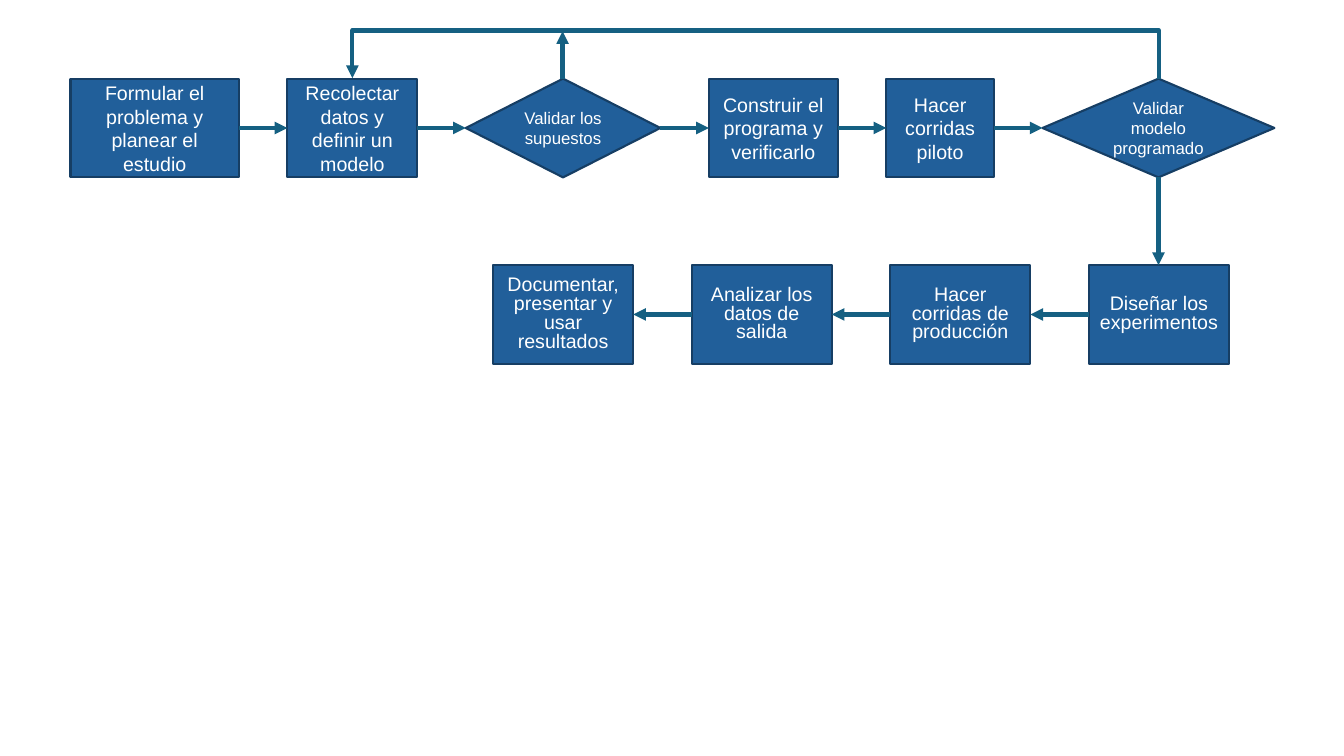
from dataclasses import dataclass

from lxml import etree
from pptx import Presentation
from pptx import util as u
from pptx.dml import color
from pptx.enum import shapes, text
from pptx.oxml import ns

PX = 9144
FILL, BORDER, ARROW, WHITE = "215F9A", "163E64", "156082", "FFFFFF"
TOP_ROW, BOTTOM_ROW, HEIGHT = 78, 263, 98
TOP_GAP, BOTTOM_WIDTH, BOTTOM_PITCH = 48, 139, 197
RETURN_Y, RETURN_ARROW_Y = 29, 31


@dataclass
class Step:
    """One box of the flow chart, in px."""
    label: str
    left: int
    top: int
    width: int
    decision: bool = False

    @property
    def right(self) -> int:
        return self.left + self.width

    @property
    def center(self) -> int:
        return self.left + self.width // 2

    @property
    def middle(self) -> int:
        return self.top + HEIGHT // 2


STUDY = [
    ("Formular el problema y planear el estudio", 167, False),
    ("Recolectar datos y definir un modelo", 129, False),
    ("Validar los supuestos", 193, True),
    ("Construir el programa y verificarlo", 128, False),
    ("Hacer corridas piloto", 107, False),
    ("Validar modelo programado", 230, True),
]
EXPERIMENTS = [
    "Diseñar los experimentos",
    "Hacer corridas de producción",
    "Analizar los datos de salida",
    "Documentar, presentar y usar resultados",
]


def px(length: int) -> u.Emu:
    """Turn px into EMU."""
    return u.Emu(length * PX)


def rgb(value: str) -> color.RGBColor:
    """Turn a hex string into a colour."""
    return color.RGBColor.from_string(value)


def write(shape, label: str, *, size: int, spacing: float | None = None) -> None:
    """Write centred white text into a shape."""
    frame = shape.text_frame
    frame.word_wrap = True
    frame.vertical_anchor = text.MSO_ANCHOR.MIDDLE
    para = frame.paragraphs[0]
    para.alignment = text.PP_ALIGN.CENTER
    if spacing:
        para.line_spacing = u.Pt(spacing)
    span = para.add_run()
    span.text = label
    span.font.name = "Arial"
    span.font.size = u.Pt(size)
    span.font.color.rgb = rgb(WHITE)


def draw_step(page, step: Step, *, spacing: float | None = None) -> None:
    """Draw a process box or a decision diamond."""
    kind = shapes.MSO_SHAPE.DIAMOND if step.decision else shapes.MSO_SHAPE.RECTANGLE
    box = page.shapes.add_shape(kind, px(step.left), px(step.top), px(step.width), px(HEIGHT))
    box.shadow.inherit = False
    box.fill.solid()
    box.fill.fore_color.rgb = rgb(FILL)
    box.line.color.rgb = rgb(BORDER)
    box.line.width = u.Pt(1.5)
    write(box, step.label, size=12 if step.decision else 14, spacing=spacing)


def draw_arrow(page, start: tuple[int, int], end: tuple[int, int],
               kind=shapes.MSO_CONNECTOR.STRAIGHT):
    """Draw a connector with a triangle at its end."""
    arrow = page.shapes.add_connector(kind, *map(px, start + end))
    arrow.line.color.rgb = rgb(ARROW)
    arrow.line.width = u.Pt(3)
    properties = arrow._element.spPr
    etree.SubElement(properties.find(ns.qn("a:ln")), ns.qn("a:tailEnd"), type="triangle")
    etree.SubElement(properties, ns.qn("a:effectLst"))
    return arrow


def draw_return(page, source: Step, target: Step) -> None:
    """Draw the elbow that leads back over the top row."""
    center = (source.center + target.center) // 2
    half = (source.center - target.center) // 2
    elbow = draw_arrow(page, (center, TOP_ROW + half), (center + 1, TOP_ROW - half),
                       shapes.MSO_CONNECTOR.ELBOW)
    properties = elbow._element.spPr
    properties.find(ns.qn("a:xfrm")).set("rot", str(270 * 60000))
    guides = properties.find(ns.qn("a:prstGeom")).find(ns.qn("a:avLst"))
    rise = (TOP_ROW - RETURN_Y) * 100000
    etree.SubElement(guides, ns.qn("a:gd"), name="adj1", fmla=f"val {rise}")


def main() -> None:
    """Build the flow chart of a simulation study."""
    deck = Presentation()
    deck.slide_width, deck.slide_height = u.Inches(13.33), u.Inches(7.5)
    page = deck.slides.add_slide(deck.slide_layouts[6])

    study: list[Step] = []
    left = 70
    for label, width, decision in STUDY:
        study.append(Step(label, left, TOP_ROW, width, decision))
        left += width + TOP_GAP
    experiments = [Step(label, 1080 - index * BOTTOM_PITCH, BOTTOM_ROW, BOTTOM_WIDTH)
                   for index, label in enumerate(EXPERIMENTS)]

    for step in study:
        draw_step(page, step)
    for step in experiments:
        draw_step(page, step, spacing=13.5)

    for before, after in zip(study, study[1:]):
        draw_arrow(page, (before.right, before.middle), (after.left, after.middle))
    for before, after in zip(experiments, experiments[1:]):
        draw_arrow(page, (before.left, before.middle), (after.right, after.middle))

    collect, assumptions, model = study[1], study[2], study[-1]
    draw_arrow(page, (model.center, TOP_ROW + HEIGHT), (model.center, BOTTOM_ROW))
    draw_return(page, model, collect)
    draw_arrow(page, (assumptions.center, TOP_ROW), (assumptions.center, RETURN_ARROW_Y))

    deck.save("out.pptx")


if __name__ == "__main__":
    main()
